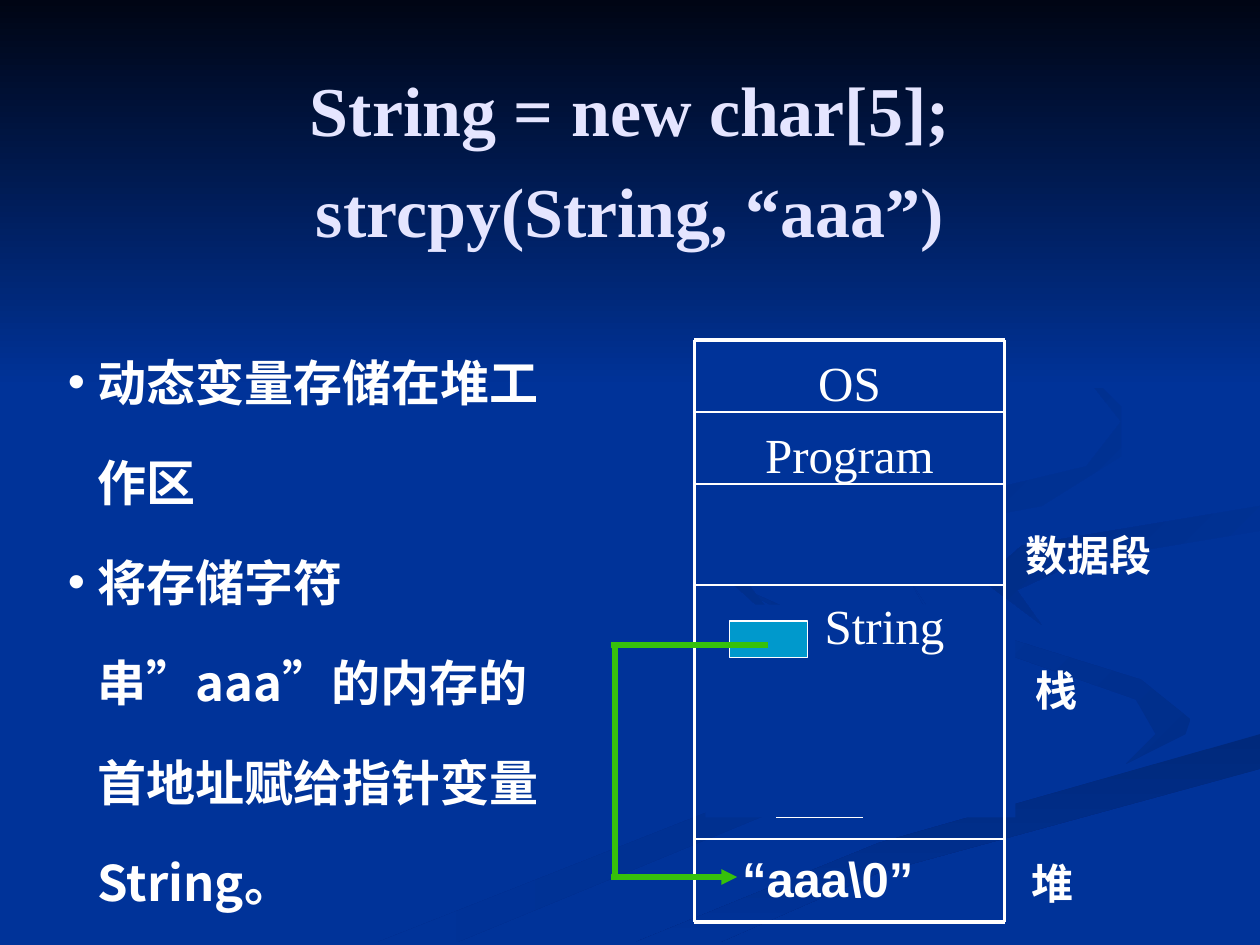
from lxml import etree
from pptx import Presentation
from pptx.dml.color import RGBColor
from pptx.enum.shapes import MSO_CONNECTOR, MSO_SHAPE
from pptx.enum.text import MSO_ANCHOR, PP_ALIGN
from pptx.oxml.ns import qn
from pptx.util import Cm, Pt

RECT, STRAIGHT = MSO_SHAPE.RECTANGLE, MSO_CONNECTOR.STRAIGHT
LEFT, CENTER = PP_ALIGN.LEFT, PP_ALIGN.CENTER
TOP, MIDDLE = MSO_ANCHOR.TOP, MSO_ANCHOR.MIDDLE
BLUE, WHITE, CYAN, GREEN, LILAC = "003399", "FFFFFF", "0099CC", "36C10B", "E5E5FF"
SERIF, SANS, LABEL, CJK = "Times New Roman", "Arial", "Roboto", "Noto Sans CJK SC"
UNIT = Cm(0.1)

SWIRLS = [
    ("002E8A", BLUE, 180, [(198, 140), (146, 117), (199, 145), (147, 162), (76, 190),
                           (92, 190), (160, 162), (203, 148)]),
    ("002E8A", BLUE, 225, [(240, 145), (230, 137), (188, 124), (184, 118), (189, 127),
                           (229, 141), (233, 148), (227, 154), (239, 148)]),
    ("00297C", BLUE, 90, [(128, 190), (145, 190), (177, 176), (254, 155), (254, 148),
                          (177, 170)]),
    (BLUE, "002C85", 225, [(198, 117), (210, 126), (205, 119), (218, 113), (254, 107),
                           (254, 102), (206, 110)]),
    (BLUE, "002B81", 225, [(173, 109), (210, 102), (226, 92), (226, 82), (214, 70),
                           (194, 59), (215, 71), (226, 85), (219, 94), (165, 107),
                           (147, 117), (158, 127), (151, 118)]),
]


def rgb(value):
    """Turn a hex string into a colour."""
    return RGBColor.from_string(value)


def set_gradient(sp, start, end, angle):
    """Fill a shape with a two-colour gradient."""
    sp.fill.gradient()
    sp.fill.gradient_angle = (360 - angle) % 360
    for stop, color in zip(sp.fill.gradient_stops, (start, end)):
        stop.color.rgb = rgb(color)


def add_swirl(s, start, end, angle, points):
    """Draw a closed outline with a gradient."""
    builder = s.shapes.build_freeform(*points[0], scale=UNIT)
    builder.add_line_segments(points[1:], close=True)
    sp = builder.convert_to_shape()
    sp.shadow.inherit = False
    sp.line.fill.background()
    set_gradient(sp, start, end, angle)


def add_box(s, x, y, w, h, fill, line=None):
    """Draw a filled rectangle with an optional thin outline."""
    sp = s.shapes.add_shape(RECT, Cm(x), Cm(y), Cm(w), Cm(h))
    sp.shadow.inherit = False
    sp.fill.solid()
    sp.fill.fore_color.rgb = rgb(fill)
    if line:
        sp.line.color.rgb = rgb(line)
        sp.line.width = Pt(0.75)
    else:
        sp.line.fill.background()
    return sp


def add_line(s, x1, y1, x2, y2, color, width, arrow=False):
    """Draw a straight line, with an arrowhead at its end if asked."""
    cn = s.shapes.add_connector(STRAIGHT, Cm(x1), Cm(y1), Cm(x2), Cm(y2))
    cn.line.color.rgb = rgb(color)
    cn.line.width = Pt(width)
    if arrow:
        etree.SubElement(cn.line._ln, qn("a:tailEnd"), type="triangle")
    etree.SubElement(cn._element.spPr, qn("a:effectLst"))


def add_bullet(p):
    """Give a paragraph a hanging white bullet."""
    pPr = p._p.get_or_add_pPr()
    pPr.set("marL", str(Cm(0.6)))
    pPr.set("indent", str(-Cm(0.6)))
    color = etree.SubElement(pPr, qn("a:buClr"))
    etree.SubElement(color, qn("a:srgbClr"), val=WHITE)
    etree.SubElement(pPr, qn("a:buFont"), typeface=SANS)
    etree.SubElement(pPr, qn("a:buChar"), char="•")


def set_text(sp, text, size, font, color=WHITE, bold=True, align=LEFT,
             anchor=TOP, spacing=1.0, bullets=False, wrap=True):
    """Write text into a shape and format its paragraphs."""
    tf = sp.text_frame
    tf.text = text
    tf.word_wrap = wrap
    tf.vertical_anchor = anchor
    for p in tf.paragraphs:
        p.alignment = align
        p.line_spacing = spacing
        if bullets:
            add_bullet(p)
        for r in p.runs:
            r.font.size = Pt(size)
            r.font.bold = bold
            r.font.name = font
            r.font.color.rgb = rgb(color)
            etree.SubElement(r._r.get_or_add_rPr(), qn("a:ea"), typeface=CJK)


def add_text(s, x, y, w, h, text, size, font, **style):
    """Add a text box."""
    sp = s.shapes.add_textbox(Cm(x), Cm(y), Cm(w), Cm(h))
    set_text(sp, text, size, font, **style)


def add_memory(s):
    """Draw the memory column with its cells, rules and labels."""
    left, width = 14, 6.25
    right = left + width
    rows = [6.86, 8.31, 9.75, 11.79, 16.92, 18.59]
    for top, bottom, name in zip(rows, rows[1:], ["OS", "Program", ""]):
        sp = add_box(s, left, top, width, bottom - top, BLUE)
        if name:
            set_text(sp, name, 28, SERIF, bold=False, align=CENTER)
            sp.text_frame.margin_top = Cm(0.24)
    sp = add_box(s, 14.22, 12.19, width, 4.29, BLUE)
    set_text(sp, "String", 28, SERIF, bold=False, align=CENTER, spacing=0.8)
    sp.text_frame.margin_left, sp.text_frame.margin_right = Cm(0.97), 0
    sp.text_frame.margin_top = Cm(0.05)
    add_line(s, 15.65, 16.48, 17.4, 16.48, WHITE, 0.75)
    for y in rows:
        add_line(s, left, y, right, y, WHITE, 2.25 if y in (rows[0], rows[-1]) else 1)
    for x in (left, right):
        add_line(s, x, rows[0], x, rows[-1], WHITE, 2.25)
    for x, y, name in [(20.42, 10.54, "数据段"), (20.62, 13.28, "栈"), (20.55, 17.17, "堆")]:
        add_text(s, x, y, 3.63, 1.27, name, 24, LABEL)
    add_text(s, 14.71, 16.99, 3.96, 1.45, "“aaa\\0”", 28, SANS, wrap=False)


def add_pointer(s):
    """Draw the pointer cell and its arrow to the heap."""
    add_box(s, 14.71, 12.52, 1.57, 0.74, CYAN, WHITE)
    add_line(s, 15.49, 13, 12.32, 13, GREEN, 3)
    add_line(s, 12.4, 17.68, 12.4, 13, GREEN, 3)
    add_line(s, 12.32, 17.68, 14.86, 17.68, GREEN, 3, arrow=True)


def main():
    """Build the slide and save it."""
    prs = Presentation()
    prs.slide_width, prs.slide_height = Cm(25.4), Cm(19.05)
    s = prs.slides.add_slide(prs.slide_layouts[6])
    s.background.fill.solid()
    s.background.fill.fore_color.rgb = rgb(BLUE)
    for swirl in SWIRLS:
        add_swirl(s, *swirl)
    set_gradient(add_box(s, 0, 0, 25.4, 7.82, BLUE), "000514", BLUE, 90)
    add_text(s, 1.9, 1.45, 21.6, 3.18, "String = new char[5];\vstrcpy(String, “aaa”)", 40,
             SERIF, color=LILAC, align=CENTER, anchor=MIDDLE, spacing=1.2)
    add_memory(s)
    add_pointer(s)
    add_text(s, 1.12, 6.15, 10.41, 12.34,
             "动态变量存储在堆工作区\n将存储字符串”aaa”的内存的首地址赋给指针变量String。",
             28, CJK, spacing=1.7, bullets=True)
    prs.save("out.pptx")


if __name__ == "__main__":
    main()
